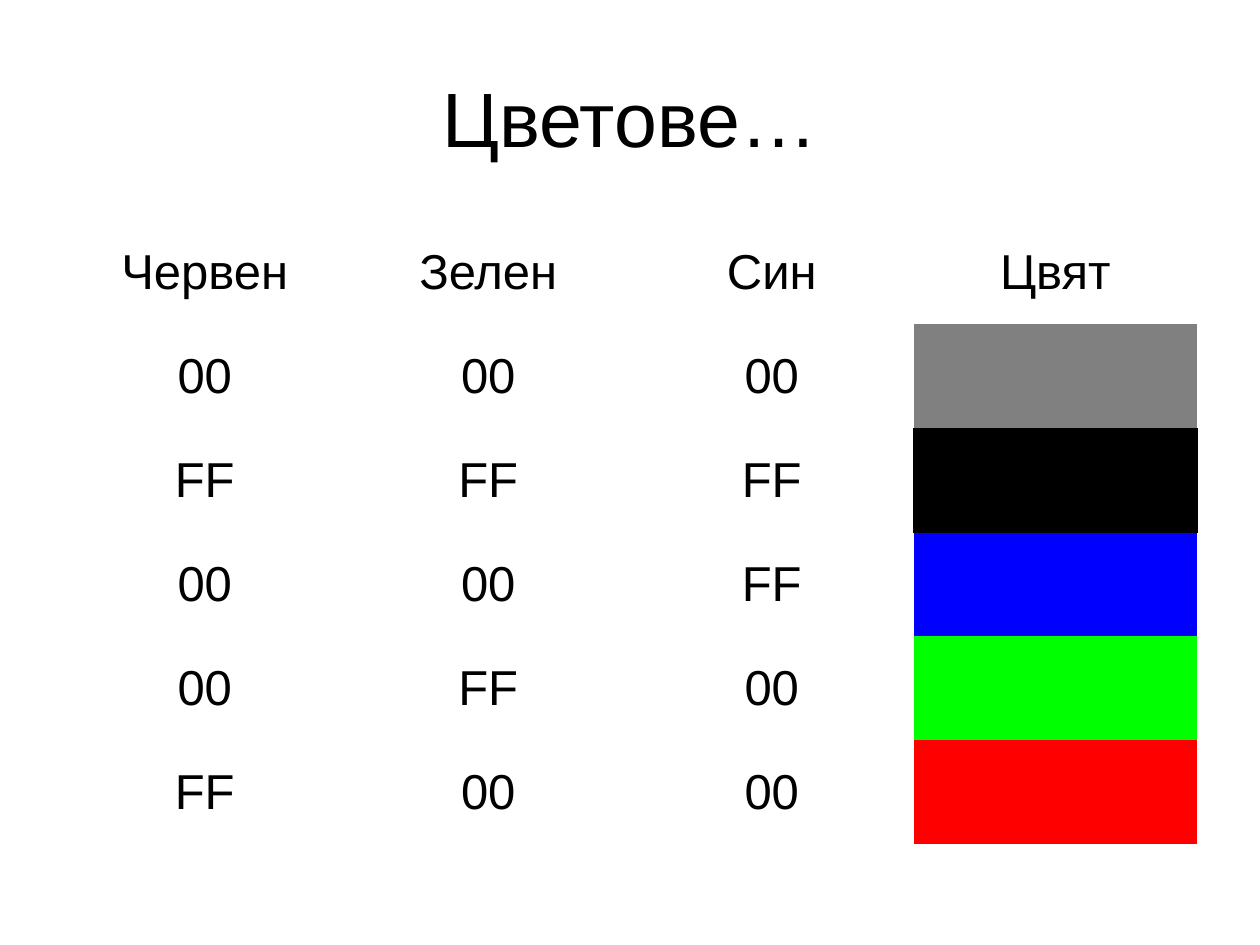
"""Build a slide with a table of colours and their hex parts."""
import pptx
import pptx.dml.color
import pptx.enum.text
import pptx.oxml
import pptx.oxml.ns
import pptx.util

Inches = pptx.util.Inches
FONT = "Arial"
BLACK = "000000"
HEAD = ("Червен", "Зелен", "Син", "Цвят")
ROWS = (
    ("00", "00", "00", "808080"),
    ("FF", "FF", "FF", BLACK),
    ("00", "00", "FF", "0000FF"),
    ("00", "FF", "00", "00FF00"),
    ("FF", "00", "00", "FF0000"),
)
EDGES = {(1, 3): "B", (2, 2): "R", (2, 3): "LRTB", (3, 3): "T"}


def color(code):
    """Turn a hex string into a colour."""
    return pptx.dml.color.RGBColor.from_string(code)


def write(frame, text, size):
    """Put centred text into a frame."""
    frame.text = text
    para = frame.paragraphs[0]
    para.alignment = pptx.enum.text.PP_ALIGN.CENTER
    font = para.font
    font.name = FONT
    font.size = pptx.util.Pt(size)
    font.bold = False
    font.color.rgb = color(BLACK)


def border(cell, sides):
    """Draw thin black lines on the given sides and none on the rest."""
    props = cell._tc.get_or_add_tcPr()
    space = pptx.oxml.ns.nsdecls("a")
    for spot, side in enumerate("LRTB"):
        fill = "<a:noFill/>"
        if side in sides:
            fill = f'<a:solidFill><a:srgbClr val="{BLACK}"/></a:solidFill>'
        width = pptx.util.Pt(0.45)
        line = f'<a:ln{side} {space} w="{width}">{fill}</a:ln{side}>'
        props.insert(spot, pptx.oxml.parse_xml(line))


def title(slide, text):
    """Place and fill the title."""
    shape = slide.shapes.title
    shape.left, shape.top = Inches(0.5), Inches(0.3)
    shape.width, shape.height = Inches(9), Inches(1.25)
    shape.text_frame.vertical_anchor = pptx.enum.text.MSO_ANCHOR.MIDDLE
    write(shape.text_frame, text, 44)


def grid(slide):
    """Add the table with a swatch at the end of each row."""
    rows = (HEAD,) + ROWS
    frame = slide.shapes.add_table(
        len(rows), len(HEAD), Inches(0.5), Inches(1.75), Inches(9), Inches(4.95)
    )
    table = frame.table
    table.first_row = table.horz_banding = False
    for row, items in enumerate(rows):
        for col, item in enumerate(items):
            cell = table.cell(row, col)
            cell.vertical_anchor = pptx.enum.text.MSO_ANCHOR.MIDDLE
            if row and col == len(HEAD) - 1:
                cell.fill.solid()
                cell.fill.fore_color.rgb = color(item)
            else:
                cell.fill.background()
                write(cell.text_frame, item, 28)
            border(cell, EDGES.get((row, col), ""))


def main():
    """Make and save the slide."""
    deck = pptx.Presentation()
    deck.slide_width, deck.slide_height = Inches(10), Inches(7.5)
    slide = deck.slides.add_slide(deck.slide_layouts[5])
    title(slide, "Цветове…")
    grid(slide)
    deck.save("out.pptx")


if __name__ == "__main__":
    main()
